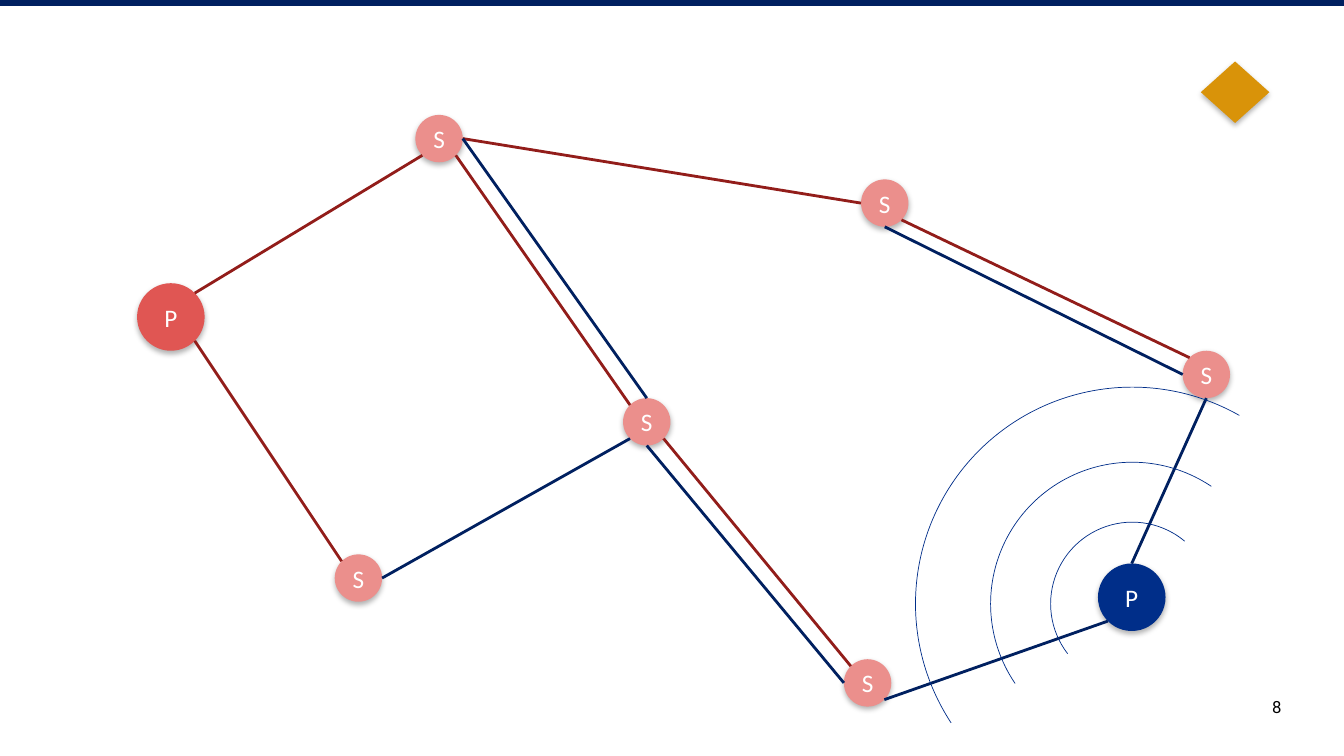
from dataclasses import dataclass
from math import cos, radians, sin

from lxml.etree import SubElement
from pptx import Presentation
from pptx.dml.color import RGBColor
from pptx.enum.shapes import MSO_CONNECTOR, MSO_SHAPE
from pptx.enum.text import MSO_ANCHOR, PP_ALIGN
from pptx.oxml.ns import qn
from pptx.util import Inches, Pt


@dataclass(frozen=True)
class Theme:
    navy: str = "002060"
    blue: str = "002E89"
    dark_red: str = "921D1A"
    red: str = "E05653"
    pink: str = "EB8F8C"
    gold: str = "D99309"
    white: str = "FFFFFF"
    black: str = "000000"
    node_font: str = "Calibri"
    number_font: str = "Roboto"
    node_size: int = 18
    number_size: int = 12
    link_width: float = 2
    wave_width: float = 0.5


THEME = Theme()
PRIMARY, SECONDARY = 0.67, 0.47  # node diameters

# name: (letter, diameter, fill, left, top)
NODES = {
    "red": ("P", PRIMARY, THEME.red, 1.36, 2.81),
    "top": ("S", SECONDARY, THEME.pink, 4.12, 1.14),
    "upper": ("S", SECONDARY, THEME.pink, 8.54, 1.78),
    "middle": ("S", SECONDARY, THEME.pink, 6.18, 3.95),
    "right": ("S", SECONDARY, THEME.pink, 11.73, 3.48),
    "left": ("S", SECONDARY, THEME.pink, 3.32, 5.5),
    "bottom": ("S", SECONDARY, THEME.pink, 8.37, 6.54),
    "blue": ("P", PRIMARY, THEME.blue, 10.89, 5.59),
}

# Points on a node's rim, in degrees clockwise from east
RIM = {"E": 0, "SE": 45, "S": 90, "SW": 135, "W": 180, "NW": 225, "N": 270, "NE": 315}

# (from node, rim point, to node, rim point)
RED_LINKS = [
    ("red", "SE", "left", "NW"),
    ("red", "NE", "top", "SW"),
    ("top", "E", "upper", "W"),
    ("top", "SE", "middle", "NW"),
    ("middle", "SE", "bottom", "NW"),
    ("upper", "SE", "right", "NW"),
]
BLUE_LINKS = [
    ("right", "S", "blue", "N"),
    ("bottom", "SE", "blue", "SW"),
    ("bottom", "W", "middle", "S"),
    ("left", "E", "middle", "SW"),
    ("top", "E", "middle", "N"),
    ("upper", "S", "right", "W"),
]

# (diameter, start angle, end angle) around one centre
WAVE_CENTRE = (11.23, 5.99)
WAVES = [(2.81, 265.77, 63.94), (1.62, 262.38, 69.91), (4.3, 266.67, 59.61)]


def rgb(color):
    return RGBColor.from_string(color)


def add_filled(s, kind, left, top, width, height, color):
    sp = s.shapes.add_shape(kind, Inches(left), Inches(top), Inches(width), Inches(height))
    sp.shadow.inherit = False
    sp.fill.solid()
    sp.fill.fore_color.rgb = rgb(color)
    sp.line.fill.background()
    return sp


def add_shadow(sp):
    effects = sp._element.spPr.find(qn("a:effectLst"))
    shadow = SubElement(effects, qn("a:outerShdw"), blurRad=str(Pt(4)), dist=str(Pt(2)),
                        dir="5400000", algn="ctr", rotWithShape="0")
    color = SubElement(shadow, qn("a:srgbClr"), val=THEME.black)
    SubElement(color, qn("a:alpha"), val="30000")


def add_text(sp, text, align, font, size, color):
    tf = sp.text_frame
    tf.vertical_anchor = MSO_ANCHOR.MIDDLE
    p = tf.paragraphs[0]
    p.alignment = align
    r = p.add_run()
    r.text = text
    r.font.name = font
    r.font.size = Pt(size)
    r.font.color.rgb = rgb(color)
    return tf


def add_node(s, letter, size, color, left, top):
    sp = add_filled(s, MSO_SHAPE.OVAL, left, top, size, size, color)
    add_shadow(sp)
    tf = add_text(sp, letter, PP_ALIGN.CENTER, THEME.node_font, THEME.node_size, THEME.white)
    tf.word_wrap = False
    tf.margin_left = tf.margin_right = tf.margin_top = tf.margin_bottom = 0


def rim_point(name, side):
    _, size, _, left, top = NODES[name]
    radius, angle = size / 2, radians(RIM[side])
    return (Inches(left + radius + radius * cos(angle)),
            Inches(top + radius + radius * sin(angle)))


def add_link(s, start, start_side, end, end_side, color):
    line = s.shapes.add_connector(MSO_CONNECTOR.STRAIGHT, *rim_point(start, start_side),
                                  *rim_point(end, end_side))
    line.line.color.rgb = rgb(color)
    line.line.width = Pt(THEME.link_width)
    SubElement(line._element.spPr, qn("a:effectLst"))


def add_wave(s, size, start, end):
    x, y = WAVE_CENTRE
    sp = s.shapes.add_shape(MSO_SHAPE.ARC, Inches(x - size / 2), Inches(y - size / 2),
                            Inches(size), Inches(size))
    sp.shadow.inherit = False
    sp.fill.background()
    sp.line.color.rgb = rgb(THEME.blue)
    sp.line.width = Pt(THEME.wave_width)
    sp.rotation = 240
    # One degree is 60000 units, and an adjustment of 1 is 100000 units
    sp.adjustments[0] = start * 0.6
    sp.adjustments[1] = end * 0.6


def add_page_number(s, number):
    box = s.shapes.add_textbox(Inches(12.2), Inches(6.81), Inches(0.61), Inches(0.4))
    tf = add_text(box, number, PP_ALIGN.RIGHT, THEME.number_font, THEME.number_size, THEME.black)
    tf.word_wrap = True


def main():
    prs = Presentation()
    prs.slide_width, prs.slide_height = Inches(13.33), Inches(7.5)
    s = prs.slides.add_slide(prs.slide_layouts[6])

    # Page frame
    add_filled(s, MSO_SHAPE.RECTANGLE, 0, 0, 13.33, 0.06, THEME.navy)
    add_shadow(add_filled(s, MSO_SHAPE.DIAMOND, 11.91, 0.61, 0.68, 0.61, THEME.gold))
    add_page_number(s, "8")

    # Network
    for node in NODES.values():
        add_node(s, *node)
    for color, links in ((THEME.dark_red, RED_LINKS), (THEME.navy, BLUE_LINKS)):
        for link in links:
            add_link(s, *link, color)

    # Signal around the blue primary
    for wave in WAVES:
        add_wave(s, *wave)

    prs.save("out.pptx")


if __name__ == "__main__":
    main()
